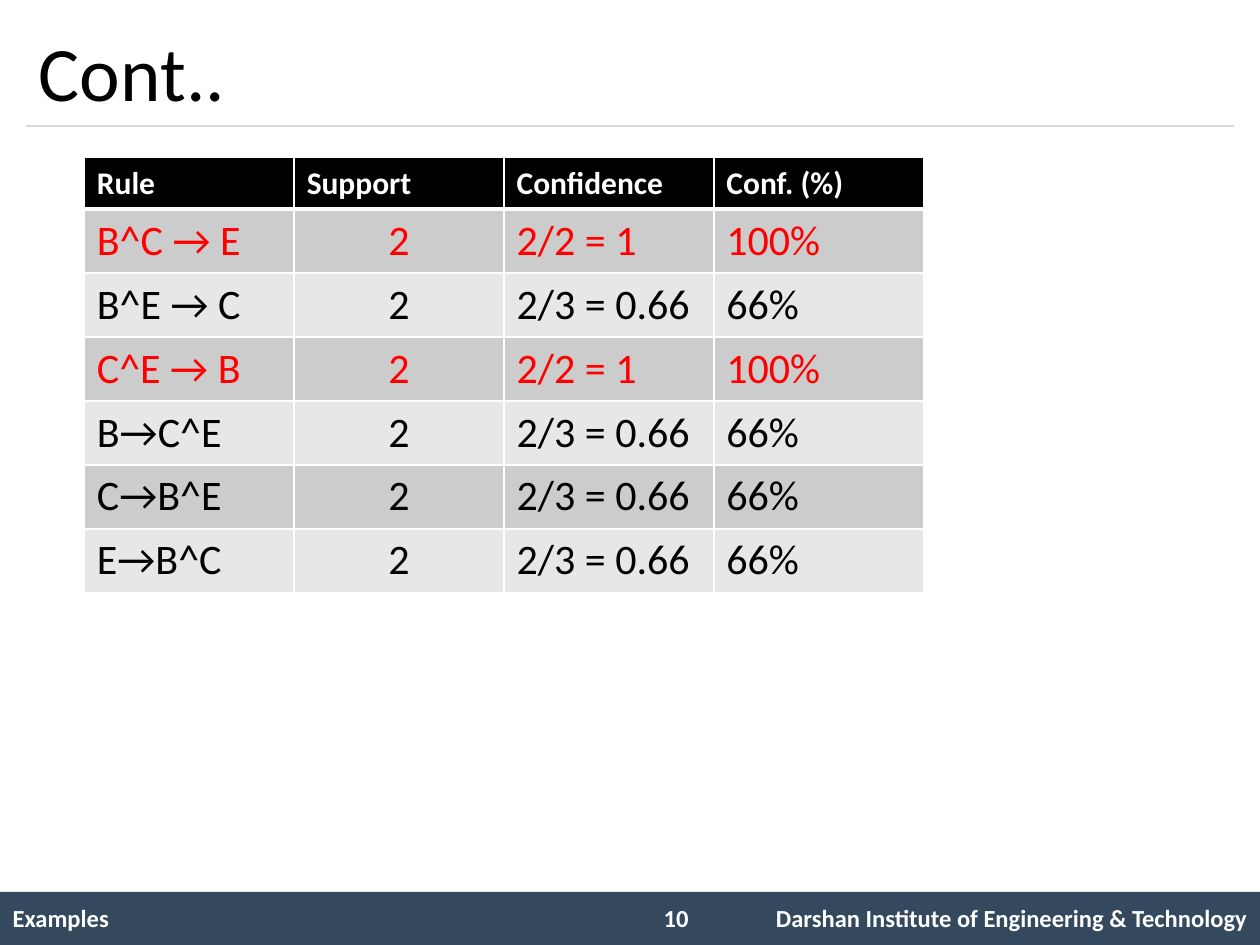
from dataclasses import dataclass
from lxml.etree import SubElement
from pptx import Presentation
from pptx.dml.color import RGBColor
from pptx.enum.shapes import MSO_CONNECTOR, MSO_SHAPE
from pptx.enum.text import MSO_ANCHOR, PP_ALIGN
from pptx.oxml.ns import qn
from pptx.util import Cm, Pt


@dataclass(frozen=True)
class Theme:
    font: str = "Calibri"
    black: str = "000000"
    white: str = "FFFFFF"
    red: str = "FF0000"
    bar: str = "34495E"
    rule: str = "D9D9D9"
    bands: tuple = ("CCCCCC", "E7E7E7")
    title: int = 44
    body: int = 24
    head: int = 18
    foot: int = 14


THEME = Theme()
PLAIN = "{2D5ABB26-0587-4C30-8999-92F81FD0307C}"
WIDTH, HEIGHT = 25.4, 19.05
FOOT_TOP = 17.98
HEADS = ("Rule", "Support", "Confidence", "Conf. (%)")
RULES = (
    ("B^C → E", "2", "2/2 = 1", "100%"),
    ("B^E → C", "2", "2/3 = 0.66", "66%"),
    ("C^E → B", "2", "2/2 = 1", "100%"),
    ("B→C^E", "2", "2/3 = 0.66", "66%"),
    ("C→B^E", "2", "2/3 = 0.66", "66%"),
    ("E→B^C", "2", "2/3 = 0.66", "66%"),
)


def write(frame, text, size, color, bold=False, align=PP_ALIGN.LEFT):
    frame.text = text
    para = frame.paragraphs[0]
    para.alignment = align
    font = para.font
    font.name, font.size, font.bold = THEME.font, Pt(size), bold
    font.color.rgb = RGBColor.from_string(color)


def place(shape, left, top, width, height):
    shape.left, shape.top = Cm(left), Cm(top)
    shape.width, shape.height = Cm(width), Cm(height)


def add_title(slide, text):
    title = slide.shapes.title
    place(title, 0.53, 0.3, 24.34, 2.24)
    title.text_frame.vertical_anchor = MSO_ANCHOR.MIDDLE
    write(title.text_frame, text, THEME.title, THEME.black)


def add_rule(slide, left, right, top):
    line = slide.shapes.add_connector(
        MSO_CONNECTOR.STRAIGHT, Cm(left), Cm(top), Cm(right), Cm(top))
    line.line.color.rgb = RGBColor.from_string(THEME.rule)
    line.line.width = Pt(0.75)
    SubElement(line._element.spPr, qn("a:effectLst"))


def add_grid(slide, left, top, widths, heights):
    """Add a table without any style of its own."""
    frame = slide.shapes.add_table(
        len(heights), len(widths), Cm(left), Cm(top),
        Cm(sum(widths)), Cm(sum(heights)))
    table = frame.table
    table.first_row = table.horz_banding = False
    table._tbl.tblPr.find(qn("a:tableStyleId")).text = PLAIN
    for col, width in zip(table.columns, widths):
        col.width = Cm(width)
    for row, height in zip(table.rows, heights):
        row.height = Cm(height)
    return table


def edge(cell, top, bottom):
    """Draw white borders; top and bottom are widths in points."""
    props = cell._tc.get_or_add_tcPr()
    for side, width in (("L", 1), ("R", 1), ("T", top), ("B", bottom)):
        line = SubElement(props, qn(f"a:ln{side}"), w=str(Pt(width)))
        fill = SubElement(line, qn("a:solidFill"))
        SubElement(fill, qn("a:srgbClr"), val=THEME.white)


def add_rules(slide):
    table = add_grid(slide, 1.7, 3.18, [4.23] * 4, [1.03] + [1.29] * 6)
    for r, row in enumerate((HEADS, *RULES)):
        head = r == 0
        sure = row[-1] == "100%"
        fill = THEME.black if head else THEME.bands[(r - 1) % 2]
        color = THEME.white if head else THEME.red if sure else THEME.black
        size = THEME.head if head else THEME.body
        for c, text in enumerate(row):
            cell = table.cell(r, c)
            edge(cell, 3 if r == 1 else 1, 3 if head else 1)
            cell.fill.solid()
            cell.fill.fore_color.rgb = RGBColor.from_string(fill)
            mid = c == 1 and not head
            write(cell.text_frame, text, size, color, head,
                  PP_ALIGN.CENTER if mid else PP_ALIGN.LEFT)


def add_foot(slide, topic, page, school):
    bar = slide.shapes.add_shape(
        MSO_SHAPE.RECTANGLE, 0, Cm(FOOT_TOP), Cm(WIDTH), Cm(HEIGHT - FOOT_TOP))
    bar.shadow.inherit = False
    bar.fill.solid()
    bar.fill.fore_color.rgb = RGBColor.from_string(THEME.bar)
    bar.line.fill.background()

    table = add_grid(slide, 0, FOOT_TOP, [12.9, 1.7, 10.8], [1.08])
    for c, text, align in ((0, topic, PP_ALIGN.LEFT),
                           (2, school, PP_ALIGN.RIGHT)):
        cell = table.cell(0, c)
        cell.vertical_anchor = MSO_ANCHOR.MIDDLE
        write(cell.text_frame, text, THEME.foot, THEME.white, True, align)

    box = slide.shapes.add_textbox(Cm(13.13), Cm(18.08), Cm(1.47), Cm(0.86))
    box.text_frame.word_wrap = True
    write(box.text_frame, page, THEME.foot, THEME.white, True)


def main():
    deck = Presentation()
    deck.slide_width, deck.slide_height = Cm(WIDTH), Cm(HEIGHT)
    slide = deck.slides.add_slide(deck.slide_layouts[5])
    add_foot(slide, "Examples", "10",
             "Darshan Institute of Engineering & Technology")
    add_rule(slide, 0.53, 24.87, 2.54)
    add_title(slide, "Cont..")
    add_rules(slide)
    deck.save("out.pptx")


if __name__ == "__main__":
    main()
